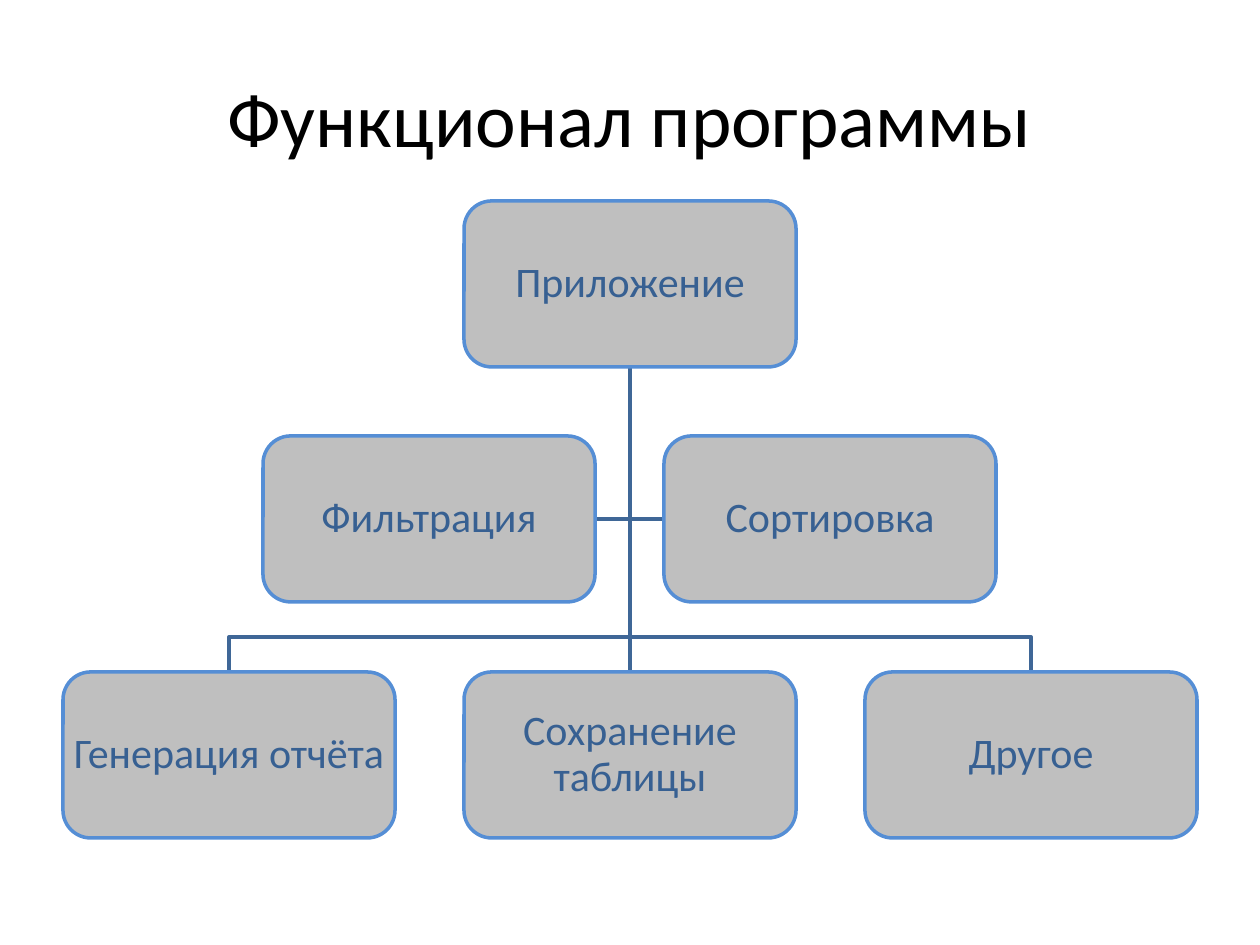
"""Build a slide with a tree of program functions."""

import dataclasses

import lxml.etree
import pptx
import pptx.dml.color
import pptx.enum.shapes
import pptx.enum.text
import pptx.oxml.ns
import pptx.shapes.autoshape
import pptx.util

SCALE = 914400 / 126
WIDE, HIGH = 332, 166
MID = 630
STEP = 401
ROWS = (201, 436, 672)
BUS = 637
FILL, EDGE, LINK, INK = "BFBFBF", "558ED5", "3F6797", "376092"


@dataclasses.dataclass(frozen=True)
class Node:
    text: str
    col: float
    row: int

    @property
    def x(self) -> int:
        return int(MID + self.col * STEP)

    @property
    def y(self) -> int:
        return ROWS[self.row]


ROOT = Node("Приложение", 0, 0)
SIDES = (Node("Фильтрация", -0.5, 1), Node("Сортировка", 0.5, 1))
LEAVES = (
    Node("Генерация отчёта", -1, 2),
    Node("Сохранение таблицы", 0, 2),
    Node("Другое", 1, 2),
)


def emu(px: int) -> pptx.util.Emu:
    return pptx.util.Emu(round(px * SCALE))


def tint(code: str) -> pptx.dml.color.RGBColor:
    return pptx.dml.color.RGBColor.from_string(code)


def stroke(line, code: str) -> None:
    line.color.rgb = tint(code)
    line.width = pptx.util.Pt(2)


def write(frame, text: str, size: int, code: str, inset: int) -> None:
    pad = emu(inset)
    form = {
        "word_wrap": True,
        "vertical_anchor": pptx.enum.text.MSO_ANCHOR.MIDDLE,
        "margin_left": pad,
        "margin_right": pad,
        "margin_top": pad,
        "margin_bottom": pad,
    }
    for key, value in form.items():
        setattr(frame, key, value)
    para = frame.paragraphs[0]
    para.alignment = pptx.enum.text.PP_ALIGN.CENTER
    run = para.add_run()
    run.text = text
    for key, value in {"name": "Calibri", "size": pptx.util.Pt(size)}.items():
        setattr(run.font, key, value)
    run.font.color.rgb = tint(code)


def draw_node(slide, node: Node) -> pptx.shapes.autoshape.Shape:
    box = slide.shapes.add_shape(
        pptx.enum.shapes.MSO_SHAPE.FLOWCHART_ALTERNATE_PROCESS,
        emu(node.x - WIDE // 2), emu(node.y), emu(WIDE), emu(HIGH),
    )
    box.shadow.inherit = False
    box.fill.solid()
    box.fill.fore_color.rgb = tint(FILL)
    stroke(box.line, EDGE)
    write(box.text_frame, node.text, 24, INK, 2)
    box.text_frame.paragraphs[0].line_spacing = 0.9
    return box


def draw_bend(slide, points: list[tuple[int, int]]) -> None:
    first, *rest = points
    pen = slide.shapes.build_freeform(*first, scale=SCALE)
    pen.add_line_segments(rest, close=False)
    bend = pen.convert_to_shape()
    bend.shadow.inherit = False
    bend.fill.background()
    stroke(bend.line, LINK)


def draw_trunk(slide, top, base) -> None:
    trunk = slide.shapes.add_connector(
        pptx.enum.shapes.MSO_CONNECTOR.STRAIGHT, 0, 0, 0, 0
    )
    trunk.begin_connect(top, 2)
    trunk.end_connect(base, 0)
    stroke(trunk.line, LINK)
    lxml.etree.SubElement(
        trunk.element.spPr, pptx.oxml.ns.qn("a:effectLst")
    )


def main() -> None:
    deck = pptx.Presentation()
    deck.slide_width, deck.slide_height = emu(1260), emu(945)
    slide = deck.slides.add_slide(deck.slide_layouts[6])
    title = slide.shapes.add_textbox(emu(63), emu(38), emu(1134), emu(157))
    write(title.text_frame, "Функционал программы", 44, "000000", 6)

    start = (MID, ROOT.y + HIGH)
    for node in SIDES:
        level = node.y + HIGH // 2
        edge = node.x + (WIDE // 2 if node.x < MID else -WIDE // 2)
        draw_bend(slide, [start, (MID, level), (edge, level)])
    for node in LEAVES[::2]:
        draw_bend(slide, [start, (MID, BUS), (node.x, BUS), (node.x, node.y)])

    boxes = {node: draw_node(slide, node) for node in (ROOT, *LEAVES, *SIDES)}
    draw_trunk(slide, boxes[ROOT], boxes[LEAVES[1]])
    for box in boxes.values():
        slide.shapes.element.append(box.element)
    deck.save("out.pptx")


if __name__ == "__main__":
    main()
